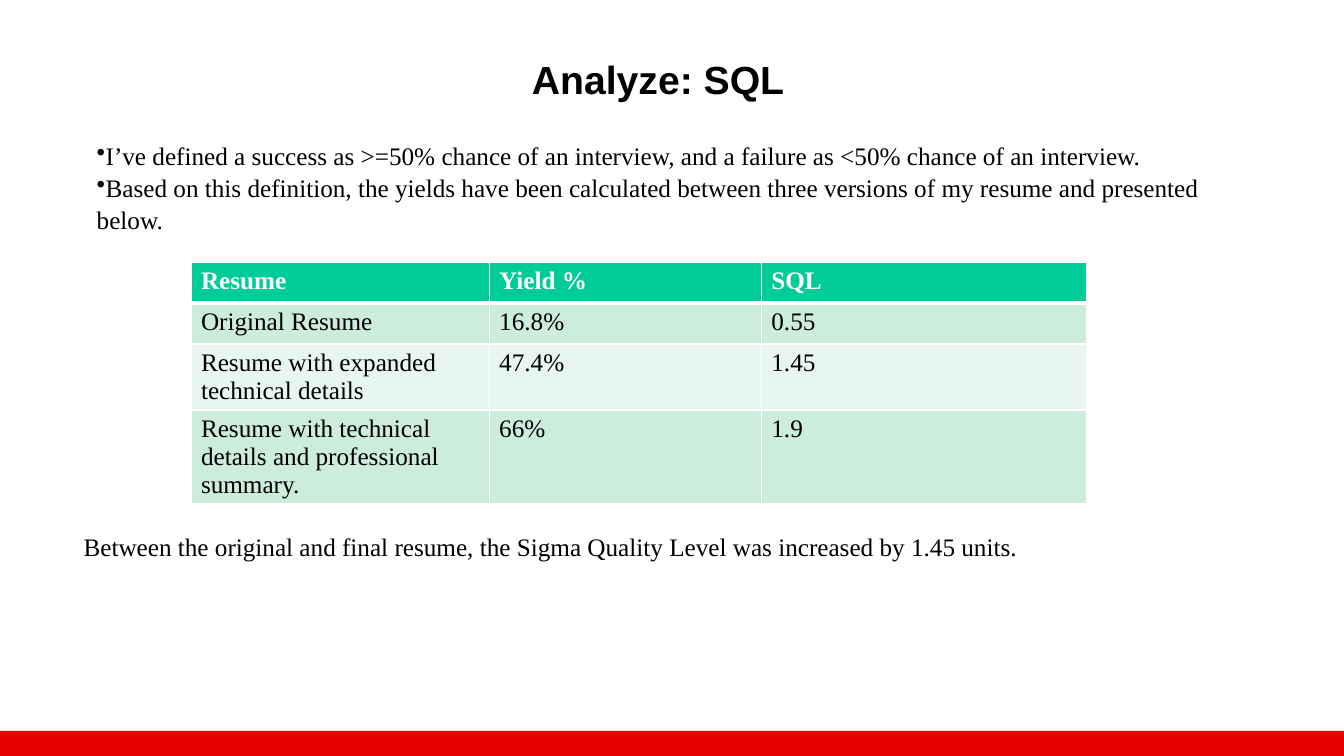
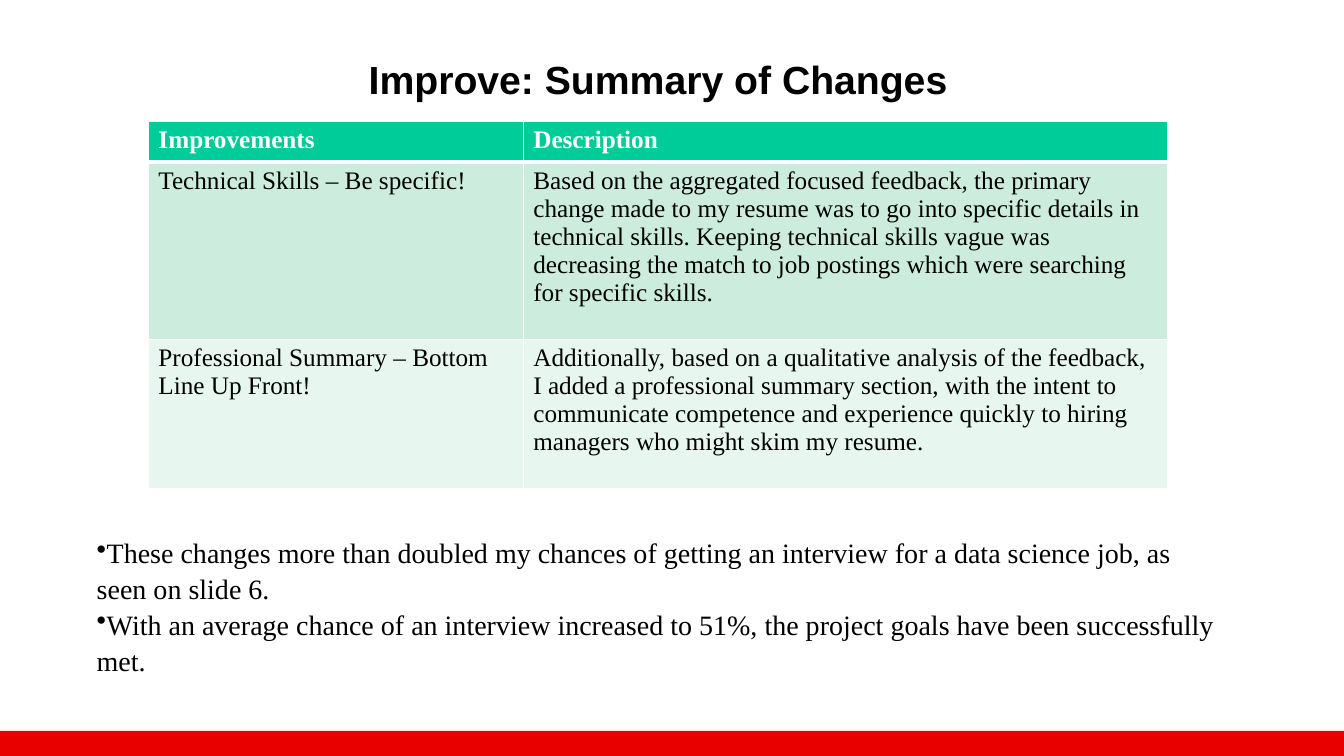
"""Build two slides on the effect of resume changes, each with a table and remarks."""
import lxml.etree
import pptx
import pptx.dml.color
import pptx.enum.shapes
import pptx.enum.text
import pptx.oxml.ns
import pptx.util

Pt = pptx.util.Pt
qn = pptx.oxml.ns.qn
COLORS = {"band": "E80000", "header": "00CC99", "odd": "CCECDE",
          "even": "E7F6EF", "white": "FFFFFF", "black": "000000"}
TITLE_FONT = {"name": "Arial", "size": Pt(28), "bold": True}
CELL_FONT = {"name": "Times New Roman", "size": Pt(18)}
LINE_SPACING = 1.07
REMARK_WIDTH, REMARK_HEIGHT = 816, 120
BAND_HEIGHT = 18

PAGES = [
    {
        "title": "Analyze: SQL",
        "table": {
            "left": 136.4, "top": 187.2,
            "columns": [213, 194.4, 232.6],
            "heights": [29.3, 29.3, 47, 67],
            "rows": [
                ["Resume", "Yield %", "SQL"],
                ["Original Resume", "16.8%", "0.55"],
                ["Resume with expanded technical details", "47.4%", "1.45"],
                ["Resume with technical details and professional summary.", "66%", "1.9"],
            ],
        },
        "remarks": [
            {"left": 62, "top": 95, "size": 18, "bullet": True, "lines": [
                "I’ve defined a success as >=50% chance of an interview, "
                "and a failure as <50% chance of an interview.",
                "Based on this definition, the yields have been calculated between "
                "three versions of my resume and presented below."]},
            {"left": 52.6, "top": 374.4, "size": 18, "bullet": False, "lines": [
                "Between the original and final resume, the Sigma Quality Level "
                "was increased by 1.45 units."]},
        ],
    },
    {
        "title": "Improve: Summary of Changes",
        "table": {
            "left": 106, "top": 86.6,
            "columns": [267.8, 460],
            "heights": [29.3, 126.5, 107],
            "rows": [
                ["Improvements", "Description"],
                ["Technical Skills – Be specific!",
                 "Based on the aggregated focused feedback, the primary change made to "
                 "my resume was to go into specific details in technical skills. Keeping "
                 "technical skills vague was decreasing the match to job postings which "
                 "were searching for specific skills."],
                ["Professional Summary – Bottom Line Up Front!",
                 "Additionally, based on a qualitative analysis of the feedback, I added "
                 "a professional summary section, with the intent to communicate "
                 "competence and experience quickly to hiring managers who might skim "
                 "my resume."],
            ],
        },
        "remarks": [
            {"left": 62, "top": 377.3, "size": 20, "bullet": True, "lines": [
                "These changes more than doubled my chances of getting an interview "
                "for a data science job, as seen on slide 6.",
                "With an average chance of an interview increased to 51%, the project "
                "goals have been successfully met."]},
        ],
    },
]


def write(para, text, color, values):
    span = para.add_run()
    span.text = text
    for name, value in values.items():
        setattr(span.font, name, value)
    span.font.color.rgb = pptx.dml.color.RGBColor.from_string(COLORS[color])


def add_borders(cell, bottom_width):
    properties = cell._tc.get_or_add_tcPr()
    for side, width in {"lnL": 1, "lnR": 1, "lnT": 1, "lnB": bottom_width}.items():
        line = lxml.etree.SubElement(properties, qn(f"a:{side}"), w=str(Pt(width)))
        fill = lxml.etree.SubElement(line, qn("a:solidFill"))
        lxml.etree.SubElement(fill, qn("a:srgbClr"), val=COLORS["white"])


deck = pptx.Presentation()
deck.slide_width, deck.slide_height = Pt(960), Pt(540)
layout = deck.slide_layouts.get_by_name("Title Only")

for number, content in enumerate(PAGES):
    page = deck.slides.add_slide(layout)

    if number == 0:
        band = page.shapes.add_shape(
            pptx.enum.shapes.MSO_SHAPE.RECTANGLE,
            0, deck.slide_height - Pt(BAND_HEIGHT), deck.slide_width, Pt(BAND_HEIGHT))
        band.shadow.inherit = False
        band.fill.solid()
        band.fill.fore_color.rgb = pptx.dml.color.RGBColor.from_string(COLORS["band"])
        band.line.fill.background()
        band.element.xpath("./p:nvSpPr/p:cNvPr")[0].set("id", "20")
        layout.shapes.element.append(band.element)

    title = page.shapes.title
    title.left, title.top, title.width, title.height = Pt(164), Pt(14), Pt(612), Pt(84)
    title.text_frame.auto_size = pptx.enum.text.MSO_AUTO_SIZE.NONE
    title.text_frame.vertical_anchor = pptx.enum.text.MSO_ANCHOR.MIDDLE
    heading = title.text_frame.paragraphs[0]
    heading.alignment = pptx.enum.text.PP_ALIGN.CENTER
    write(heading, content["title"], "black", TITLE_FONT)

    grid = content["table"]
    table = page.shapes.add_table(
        len(grid["rows"]), len(grid["columns"]), Pt(grid["left"]), Pt(grid["top"]),
        Pt(sum(grid["columns"])), Pt(sum(grid["heights"]))).table
    for column, width in zip(table.columns, grid["columns"]):
        column.width = Pt(width)
    for row_number, texts in enumerate(grid["rows"]):
        table.rows[row_number].height = Pt(grid["heights"][row_number])
        is_header = row_number == 0
        shade = "header" if is_header else ("even", "odd")[row_number % 2]
        for column_number, text in enumerate(texts):
            cell = table.cell(row_number, column_number)
            add_borders(cell, 3 if is_header else 1)
            cell.fill.solid()
            cell.fill.fore_color.rgb = pptx.dml.color.RGBColor.from_string(COLORS[shade])
            write(cell.text_frame.paragraphs[0], text, "white" if is_header else "black",
                  {**CELL_FONT, "bold": is_header})

    for remark in content["remarks"]:
        box = page.shapes.add_textbox(
            Pt(remark["left"]), Pt(remark["top"]), Pt(REMARK_WIDTH), Pt(REMARK_HEIGHT))
        frame = box.text_frame
        frame.word_wrap = True
        for line_number, text in enumerate(remark["lines"]):
            para = frame.add_paragraph() if line_number else frame.paragraphs[0]
            para.line_spacing = LINE_SPACING
            if remark["bullet"]:
                lxml.etree.SubElement(para._p.get_or_add_pPr(), qn("a:buChar"), char="•")
            write(para, text, "black", {**CELL_FONT, "size": Pt(remark["size"])})

deck.save("out.pptx")
